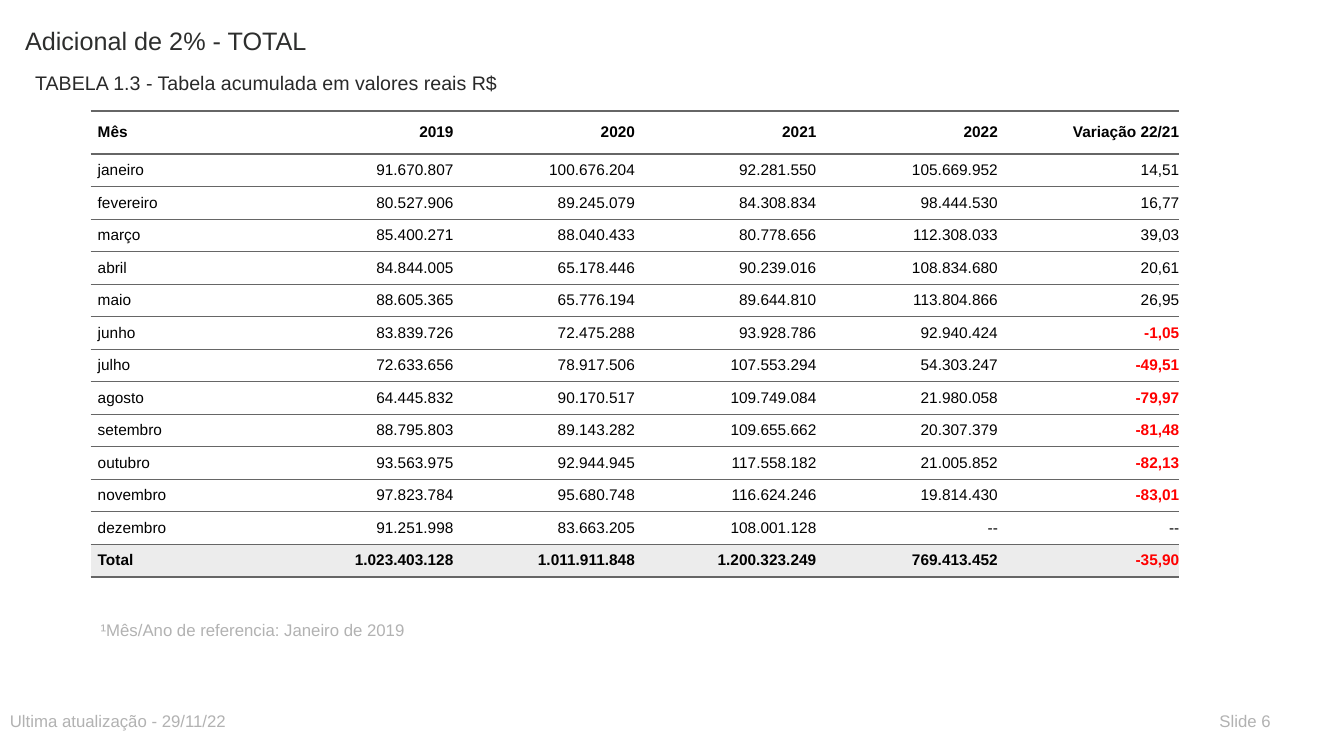
from dataclasses import dataclass

from lxml.etree import SubElement
from pptx import Presentation
from pptx.dml.color import RGBColor
from pptx.enum.text import MSO_ANCHOR, PP_ALIGN
from pptx.oxml.ns import qn
from pptx.slide import Slide
from pptx.table import _Cell
from pptx.text.text import _Paragraph
from pptx.util import Pt


@dataclass(frozen=True)
class Theme:
    font: str = "Arial"
    title: str = "2D2E2D"
    subtitle: str = "292929"
    muted: str = "B2B2B2"
    body: str = "000000"
    negative: str = "FF0000"
    rule: str = "666666"
    row_fill: str = "FFFFFF"
    total_fill: str = "ECECEC"
    title_size: float = 18
    subtitle_size: float = 14
    note_size: float = 12
    table_size: float = 11
    thick_rule: float = 2
    thin_rule: float = 0.5


@dataclass(frozen=True)
class Label:
    text: str
    left: float
    top: float
    width: float
    height: float
    size: float
    color: str


THEME = Theme()

LABELS = [
    Label("Adicional de 2% - TOTAL", 10.8, 14.4, 576, 42.5, THEME.title_size, THEME.title),
    Label("TABELA 1.3 - Tabela acumulada em valores reais R$", 18, 46.8, 468, 21.6,
          THEME.subtitle_size, THEME.subtitle),
    Label("¹Mês/Ano de referencia: Janeiro de 2019", 64.8, 439.2, 468, 21.6,
          THEME.note_size, THEME.muted),
    Label("Ultima atualização - 29/11/22", 0, 504, 468, 21.6, THEME.note_size, THEME.muted),
    Label("Slide 6", 864, 504, 64.8, 21.6, THEME.note_size, THEME.muted),
]

ROWS = [
    ("Mês", "2019", "2020", "2021", "2022", "Variação 22/21"),
    ("janeiro", "91.670.807", "100.676.204", "92.281.550", "105.669.952", "14,51"),
    ("fevereiro", "80.527.906", "89.245.079", "84.308.834", "98.444.530", "16,77"),
    ("março", "85.400.271", "88.040.433", "80.778.656", "112.308.033", "39,03"),
    ("abril", "84.844.005", "65.178.446", "90.239.016", "108.834.680", "20,61"),
    ("maio", "88.605.365", "65.776.194", "89.644.810", "113.804.866", "26,95"),
    ("junho", "83.839.726", "72.475.288", "93.928.786", "92.940.424", "-1,05"),
    ("julho", "72.633.656", "78.917.506", "107.553.294", "54.303.247", "-49,51"),
    ("agosto", "64.445.832", "90.170.517", "109.749.084", "21.980.058", "-79,97"),
    ("setembro", "88.795.803", "89.143.282", "109.655.662", "20.307.379", "-81,48"),
    ("outubro", "93.563.975", "92.944.945", "117.558.182", "21.005.852", "-82,13"),
    ("novembro", "97.823.784", "95.680.748", "116.624.246", "19.814.430", "-83,01"),
    ("dezembro", "91.251.998", "83.663.205", "108.001.128", "--", "--"),
    ("Total", "1.023.403.128", "1.011.911.848", "1.200.323.249", "769.413.452", "-35,90"),
]
TABLE_LEFT, TABLE_TOP = 64.8, 79.2
COLUMN_WIDTH, HEADER_HEIGHT, ROW_HEIGHT = 129.6, 30.96, 22.27
CELL_INSET = 5


def style_paragraph(paragraph: _Paragraph, size: float, color: str, bold: bool = False) -> None:
    for span in paragraph.runs:
        span.font.name = THEME.font
        span.font.size = Pt(size)
        span.font.bold = bold
        span.font.color.rgb = RGBColor.from_string(color)


def draw_label(page: Slide, label: Label) -> None:
    box = page.shapes.add_textbox(Pt(label.left), Pt(label.top), Pt(label.width), Pt(label.height))
    box.text_frame.word_wrap = True
    box.text_frame.text = label.text
    style_paragraph(box.text_frame.paragraphs[0], label.size, label.color)


def set_borders(cell: _Cell, top: float, bottom: float) -> None:
    """Rule the top and bottom of a cell and leave its sides open."""
    properties = cell._tc.get_or_add_tcPr()
    for side, width in (("L", 0), ("R", 0), ("T", top), ("B", bottom)):
        line = SubElement(properties, qn(f"a:ln{side}"), w=str(Pt(width)))
        if width:
            fill = SubElement(line, qn("a:solidFill"))
            SubElement(fill, qn("a:srgbClr"), val=THEME.rule)
        else:
            SubElement(line, qn("a:noFill"))


def draw_cell(cell: _Cell, text: str, row: int, column: int) -> None:
    last = len(ROWS) - 1
    negative = text.startswith("-") and text != "--"
    # Rules are thick around the header and below the total
    set_borders(cell,
                THEME.thick_rule if row <= 1 else THEME.thin_rule,
                THEME.thick_rule if row in (0, last) else THEME.thin_rule)
    cell.fill.solid()
    cell.fill.fore_color.rgb = RGBColor.from_string(
        THEME.total_fill if row == last else THEME.row_fill)
    cell.vertical_anchor = MSO_ANCHOR.MIDDLE
    cell.margin_left = cell.margin_top = cell.margin_bottom = Pt(CELL_INSET)
    cell.margin_right = Pt(0)
    # Month names to the left, figures to the right
    cell.text_frame.text = text
    paragraph = cell.text_frame.paragraphs[0]
    paragraph.alignment = PP_ALIGN.RIGHT if column else PP_ALIGN.LEFT
    style_paragraph(paragraph, THEME.table_size,
                    THEME.negative if negative else THEME.body,
                    bold=negative or row in (0, last))


def draw_table(page: Slide) -> None:
    heights = [HEADER_HEIGHT] + [ROW_HEIGHT] * (len(ROWS) - 1)
    columns = len(ROWS[0])
    table = page.shapes.add_table(
        len(ROWS), columns, Pt(TABLE_LEFT), Pt(TABLE_TOP),
        Pt(COLUMN_WIDTH * columns), Pt(sum(heights))).table
    table.horz_banding = False
    for column in table.columns:
        column.width = Pt(COLUMN_WIDTH)
    for row, (values, height) in enumerate(zip(ROWS, heights)):
        table.rows[row].height = Pt(height)
        for column, text in enumerate(values):
            draw_cell(table.cell(row, column), text, row, column)


def main() -> None:
    deck = Presentation()
    deck.slide_width, deck.slide_height = Pt(960), Pt(540)
    page = deck.slides.add_slide(deck.slide_layouts[6])
    # Headings, footnote and footer
    for label in LABELS:
        draw_label(page, label)
    # Monthly figures
    draw_table(page)
    deck.save("out.pptx")


if __name__ == "__main__":
    main()
